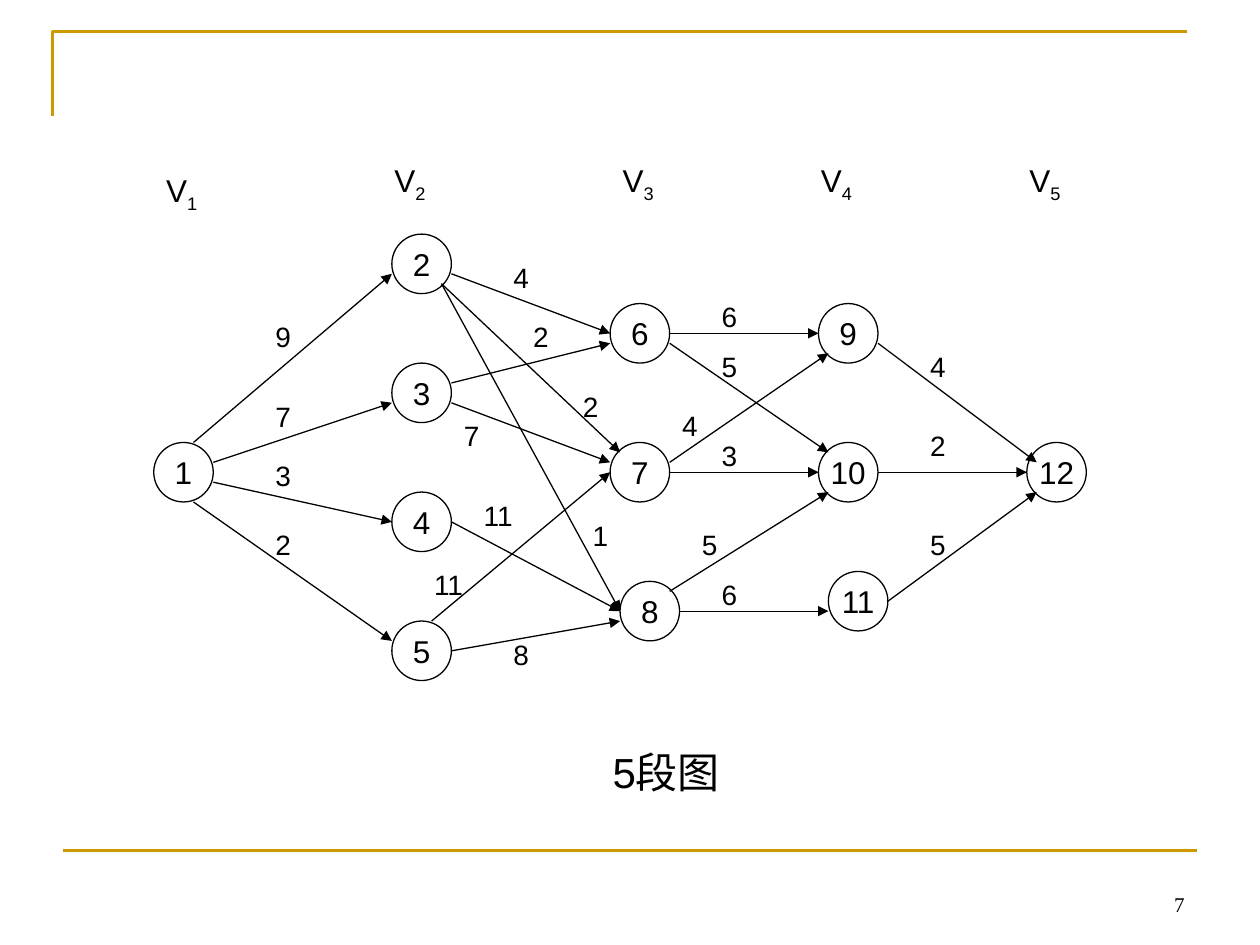
"""Draw a five-stage graph with weighted edges."""
from lxml import etree
from pptx import Presentation, util as u
from pptx.dml import color
from pptx.enum import shapes, text
from pptx.oxml import ns

NODE_SIZE = 1.2
NODES = {
    1: (3.1, 8.92),
    2: (7.9, 4.72), 3: (7.9, 7.32), 4: (7.9, 9.92), 5: (7.9, 12.52),
    6: (12.3, 6.12), 7: (12.3, 8.92), 8: (12.5, 11.72),
    9: (16.5, 6.12), 10: (16.5, 8.92), 11: (16.7, 11.52),
    12: (20.7, 8.92),
}
EDGES = [
    (1, (0.8, 0), 2, (0, 0.8), 9, (5.3, 6.32)),
    (1, (1.2, 0.4), 3, (0, 0.8), 7, (5.3, 7.92)),
    (1, (1.2, 0.8), 4, (0, 0.6), 3, (5.3, 9.12)),
    (1, (0.8, 1.2), 5, (0, 0.4), 2, (5.3, 10.52)),
    (2, (1, 1), 8, (0, 0.6), 1, (11.7, 10.32)),
    (2, (1, 1), 7, (0.2, 0.2), 2, (11.5, 7.72)),
    (2, (1.2, 0.8), 6, (0, 0.6), 4, (10.1, 5.12)),
    (3, (1.2, 0.4), 6, (0, 0.8), 2, (10.5, 6.32)),
    (3, (1.2, 0.8), 7, (0, 0.4), 7, (9.1, 8.32)),
    (4, (1.2, 0.6), 8, (0, 0.6), 11, (9.5, 9.92)),
    (5, (0.8, 0), 7, (0, 0.6), 11, (8.5, 11.32)),
    (5, (1.2, 0.6), 8, (0, 0.8), 8, (10.1, 12.72)),
    (6, (1.2, 0.6), 9, (0, 0.6), 6, (14.3, 5.92)),
    (6, (1.2, 0.8), 10, (0.2, 0.2), 5, (14.3, 6.92)),
    (7, (1.2, 0.4), 9, (0.2, 1), 4, (13.5, 8.12)),
    (7, (1.2, 0.6), 10, (0, 0.6), 3, (14.3, 8.72)),
    (8, (1, 0.2), 10, (0.2, 1), 5, (13.9, 10.52)),
    (8, (1.2, 0.6), 11, (0, 0.8), 6, (14.3, 11.52)),
    (9, (1.2, 0.8), 12, (0.2, 0.4), 4, (18.5, 6.92)),
    (10, (1.2, 0.6), 12, (0, 0.6), 2, (18.5, 8.52)),
    (11, (1.2, 0.6), 12, (0.2, 1), 5, (18.5, 10.52)),
]
STAGES = [(3.1, 3.32), (7.7, 3.12), (12.3, 3.12), (16.3, 3.12), (20.5, 3.12)]


def paint(value):
    """Turn a hex string into a colour."""
    return color.RGBColor.from_string(value)


class Sketch:
    """Hold the style and the current slide."""

    ink, gold = "000000", "CC9900"
    face, number_face = "Arial", "Times New Roman"

    def __init__(self, page):
        """Start drawing on a slide."""
        self.page = page

    def stroke(self, item, value, width):
        """Set the line of a shape."""
        item.line.color.rgb = paint(value)
        item.line.width = u.Pt(width)

    def wording(self, frame, words, size, face=None, align=text.PP_ALIGN.LEFT):
        """Put one paragraph in a text frame."""
        para = frame.paragraphs[0]
        para.alignment = align
        para.font.name = face or self.face
        para.font.size = u.Pt(size)
        para.font.color.rgb = paint(self.ink)
        para.add_run().text = words
        return para

    def label(self, at, size, words, points, **style):
        """Add a text box."""
        box = self.page.shapes.add_textbox(*map(u.Cm, (*at, *size)))
        box.text_frame.word_wrap = True
        return self.wording(box.text_frame, words, points, **style)

    def stage(self, at, number):
        """Add a stage heading with a subscript."""
        para = self.label(at, (1.4, 1.12), "V", 18)
        span = para.add_run()
        span.text = str(number)
        span.font._element.set("baseline", "-25000")

    def node(self, at, number):
        """Add a numbered circle."""
        circle = self.page.shapes.add_shape(
            shapes.MSO_SHAPE.OVAL, *map(u.Cm, (*at, NODE_SIZE, NODE_SIZE)))
        circle.shadow.inherit = False
        circle.fill.background()
        self.stroke(circle, self.ink, 0.75)
        frame = circle.text_frame
        frame.word_wrap = False
        frame.vertical_anchor = text.MSO_ANCHOR.MIDDLE
        self.wording(frame, str(number), 18, align=text.PP_ALIGN.CENTER)

    def line(self, start, end, value, width):
        """Add a straight line without a shadow."""
        rule = self.page.shapes.add_connector(
            shapes.MSO_CONNECTOR.STRAIGHT, *map(u.Cm, (*start, *end)))
        self.stroke(rule, value, width)
        etree.SubElement(rule._element.spPr, ns.qn("a:effectLst"))
        return rule

    def arrow(self, start, end):
        """Add a line with an arrowhead at its end."""
        rule = self.line(start, end, self.ink, 0.75)
        outline = rule._element.spPr.find(ns.qn("a:ln"))
        etree.SubElement(outline, ns.qn("a:tailEnd"), type="triangle")

    def corner(self, points):
        """Add an open outline through the points."""
        first, *rest = [tuple(map(u.Cm, point)) for point in points]
        builder = self.page.shapes.build_freeform(*first)
        builder.add_line_segments(rest, close=False)
        outline = builder.convert_to_shape()
        outline.shadow.inherit = False
        outline.fill.background()
        self.stroke(outline, self.gold, 1.5)


def shift(point, offset):
    """Move a point by an offset."""
    return point[0] + offset[0], point[1] + offset[1]


def main():
    """Build and save the deck."""
    deck = Presentation()
    deck.slide_width, deck.slide_height = u.Cm(25.4), u.Cm(19.05)
    sketch = Sketch(deck.slides.add_slide(deck.slide_layouts[6]))

    sketch.corner([(1.06, 2.33), (1.06, 0.64), (23.92, 0.64)])
    sketch.line((1.27, 17.15), (24.13, 17.15), sketch.gold, 1.5)
    for number, at in NODES.items():
        sketch.node(at, number)
    for source, leave, target, enter, *_ in EDGES:
        sketch.arrow(shift(NODES[source], leave), shift(NODES[target], enter))
    for *_, weight, at in EDGES:
        sketch.label(at, (1.2, 0.94), str(weight), 16)
    for number, at in enumerate(STAGES, 1):
        sketch.stage(at, number)
    sketch.label((12.1, 14.92), (3.8, 1.27), "5段图", 24)
    sketch.label((18.2, 17.85), (5.93, 0.77), "7", 12,
                 face=sketch.number_face, align=text.PP_ALIGN.RIGHT)
    deck.save("out.pptx")


if __name__ == "__main__":
    main()
